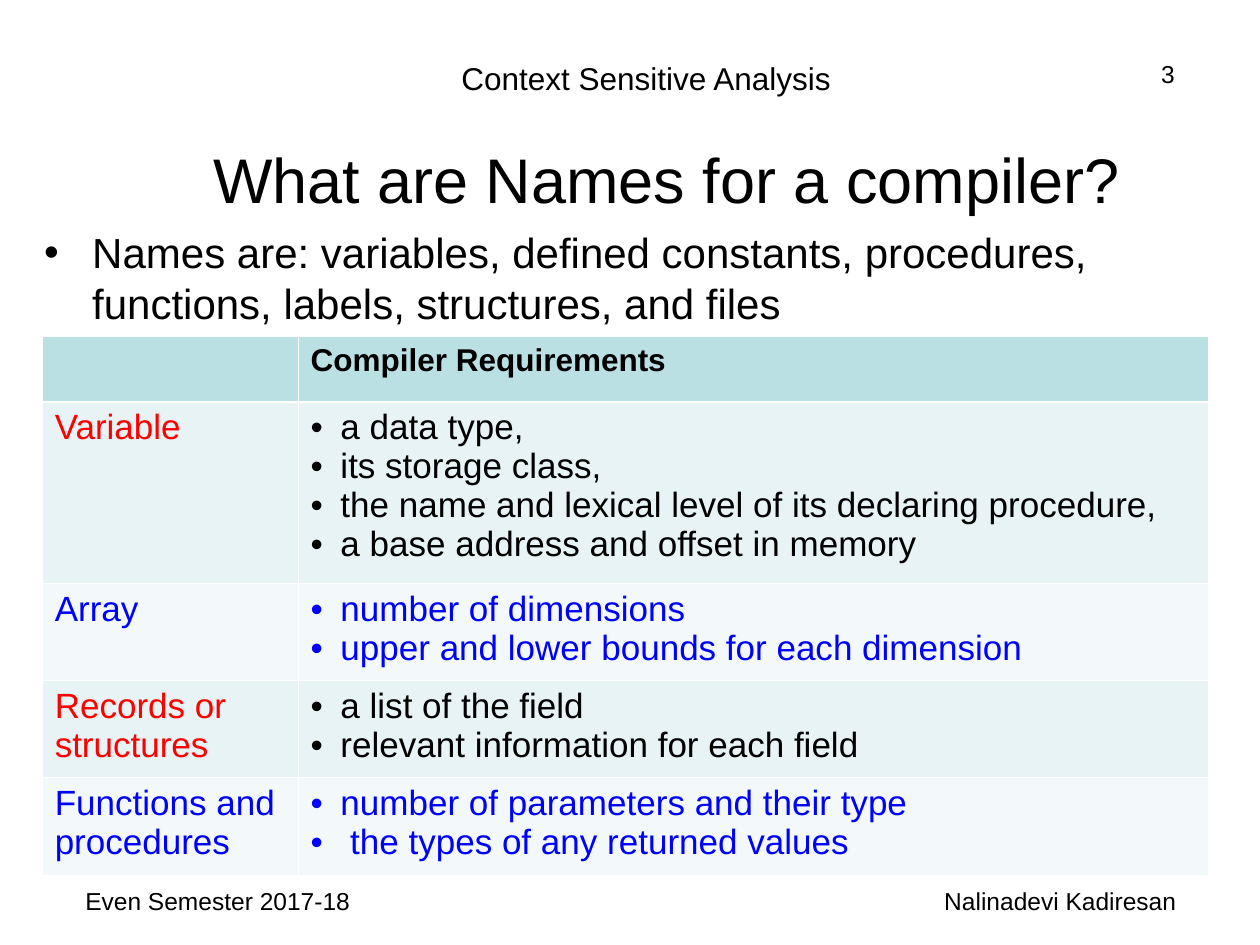
"""Build the slide on what a compiler must know about names."""
from dataclasses import dataclass

from lxml.etree import SubElement
from pptx import Presentation
from pptx.dml.color import RGBColor
from pptx.enum.shapes import MSO_SHAPE
from pptx.enum.text import MSO_ANCHOR, PP_ALIGN
from pptx.oxml.ns import qn
from pptx.util import Cm, Pt


@dataclass(frozen=True)
class Theme:
    font: str = "Arial"
    black: str = "000000"
    white: str = "FFFFFF"
    red: str = "FF0000"
    blue: str = "0000FF"
    header_fill: str = "BBE0E3"
    band_fills: tuple = ("E7F3F4", "F3F9FA")
    title: int = 36
    body: int = 24
    cell: int = 20
    heading: int = 18
    small: int = 14
    thin: float = 0.45
    thick: float = 1.47


THEME = Theme()
TITLE = "What are Names for a compiler?"
TITLE_BOX = (1.47, 2.74, 23.93, 1.7)
INTRO = ("Names are: variables, defined constants, procedures, "
         "functions, labels, structures, and files")
INTRO_BOX = (0.64, 4.45, 24.13, 12.37)
MARGINALIA = [
    ("Context Sensitive Analysis", (3.6, 1.07, 18.85, 1.02), THEME.heading, PP_ALIGN.CENTER),
    ("3", (19.48, 1.07, 4.45, 1.32), THEME.small, PP_ALIGN.RIGHT),
    ("Even Semester 2017-18", (1.47, 17.73, 5.92, 1.32), THEME.small, PP_ALIGN.LEFT),
    ("Nalinadevi Kadiresan", (17.35, 17.73, 8.05, 1.32), THEME.small, PP_ALIGN.CENTER),
]
HEADING = "Compiler Requirements"
REQUIREMENTS = [
    ("Variable", ["a data type,", "its storage class,",
                  "the name and lexical level of its declaring procedure,",
                  "a base address and offset in memory"]),
    ("Array", ["number of dimensions", "upper and lower bounds for each dimension"]),
    ("Records or structures", ["a list of the field",
                               "relevant information for each field"]),
    ("Functions and procedures", ["number of parameters and their type",
                                  " the types of any returned values"]),
]
NAME_COLORS = (THEME.red, THEME.blue)
DETAIL_COLORS = (THEME.black, THEME.blue)
TABLE_ORIGIN = (0.85, 6.78)
COLUMN_WIDTHS = (5.16, 18.34)
ROW_HEIGHTS = (1.32, 3.66, 1.96, 1.96, 1.96)


def lengths(values):
    return [Cm(value) for value in values]


def add_bullet(paragraph, color, indent):
    properties = paragraph._p.get_or_add_pPr()
    properties.set("marL", str(Cm(indent)))
    properties.set("indent", str(-Cm(indent)))
    SubElement(SubElement(properties, qn("a:buClr")), qn("a:srgbClr"), val=color)
    SubElement(properties, qn("a:buFont"), typeface=THEME.font)
    SubElement(properties, qn("a:buChar"), char="•")


def write(frame, lines, size, color=THEME.black, align=PP_ALIGN.LEFT, bold=False, indent=0):
    frame.word_wrap = True
    for number, line in enumerate(lines):
        paragraph = frame.add_paragraph() if number else frame.paragraphs[0]
        paragraph.alignment = align
        if indent:
            add_bullet(paragraph, color, indent)
        run = paragraph.add_run()
        run.text = line
        run.font.name = THEME.font
        run.font.size = Pt(size)
        run.font.bold = bold
        run.font.color.rgb = RGBColor.from_string(color)


def style_cell(cell, fill, top, bottom):
    properties = cell._tc.get_or_add_tcPr()
    for side, width in (("L", THEME.thin), ("R", THEME.thin), ("T", top), ("B", bottom)):
        border = SubElement(properties, qn(f"a:ln{side}"), w=str(Pt(width)))
        SubElement(SubElement(border, qn("a:solidFill")), qn("a:srgbClr"), val=THEME.white)
    cell.fill.solid()
    cell.fill.fore_color.rgb = RGBColor.from_string(fill)


def add_requirements(slide):
    table = slide.shapes.add_table(
        len(ROW_HEIGHTS), len(COLUMN_WIDTHS),
        *lengths((*TABLE_ORIGIN, sum(COLUMN_WIDTHS), sum(ROW_HEIGHTS)))).table
    for column, width in zip(table.columns, COLUMN_WIDTHS):
        column.width = Cm(width)
    for row, height in zip(table.rows, ROW_HEIGHTS):
        row.height = Cm(height)
    for cell in table.rows[0].cells:
        style_cell(cell, THEME.header_fill, THEME.thin, THEME.thick)
    write(table.cell(0, 1).text_frame, [HEADING], THEME.heading, bold=True)
    for index, (name, details) in enumerate(REQUIREMENTS):
        name_cell, detail_cell = table.rows[index + 1].cells
        top = THEME.thin if index else THEME.thick
        for cell in (name_cell, detail_cell):
            style_cell(cell, THEME.band_fills[index % 2], top, THEME.thin)
        write(name_cell.text_frame, [name], THEME.cell, NAME_COLORS[index % 2])
        write(detail_cell.text_frame, details, THEME.cell, DETAIL_COLORS[index % 2], indent=0.6)


def main():
    deck = Presentation()
    deck.slide_width, deck.slide_height = Cm(25.4), Cm(19.05)
    slide = deck.slides.add_slide(deck.slide_layouts[5])

    title = slide.shapes.title
    title.left, title.top, title.width, title.height = lengths(TITLE_BOX)
    title.text_frame.vertical_anchor = MSO_ANCHOR.MIDDLE
    write(title.text_frame, [TITLE], THEME.title, align=PP_ALIGN.CENTER)

    intro = slide.shapes.add_shape(MSO_SHAPE.RECTANGLE, *lengths(INTRO_BOX))
    intro.shadow.inherit = False
    intro.fill.solid()
    intro.fill.fore_color.rgb = RGBColor.from_string(THEME.white)
    intro.line.fill.background()
    intro.text_frame.vertical_anchor = MSO_ANCHOR.TOP
    write(intro.text_frame, [INTRO], THEME.body, indent=0.97)

    for text, box, size, align in MARGINALIA:
        note = slide.shapes.add_textbox(*lengths(box))
        write(note.text_frame, [text], size, align=align)

    add_requirements(slide)
    deck.save("out.pptx")


if __name__ == "__main__":
    main()
